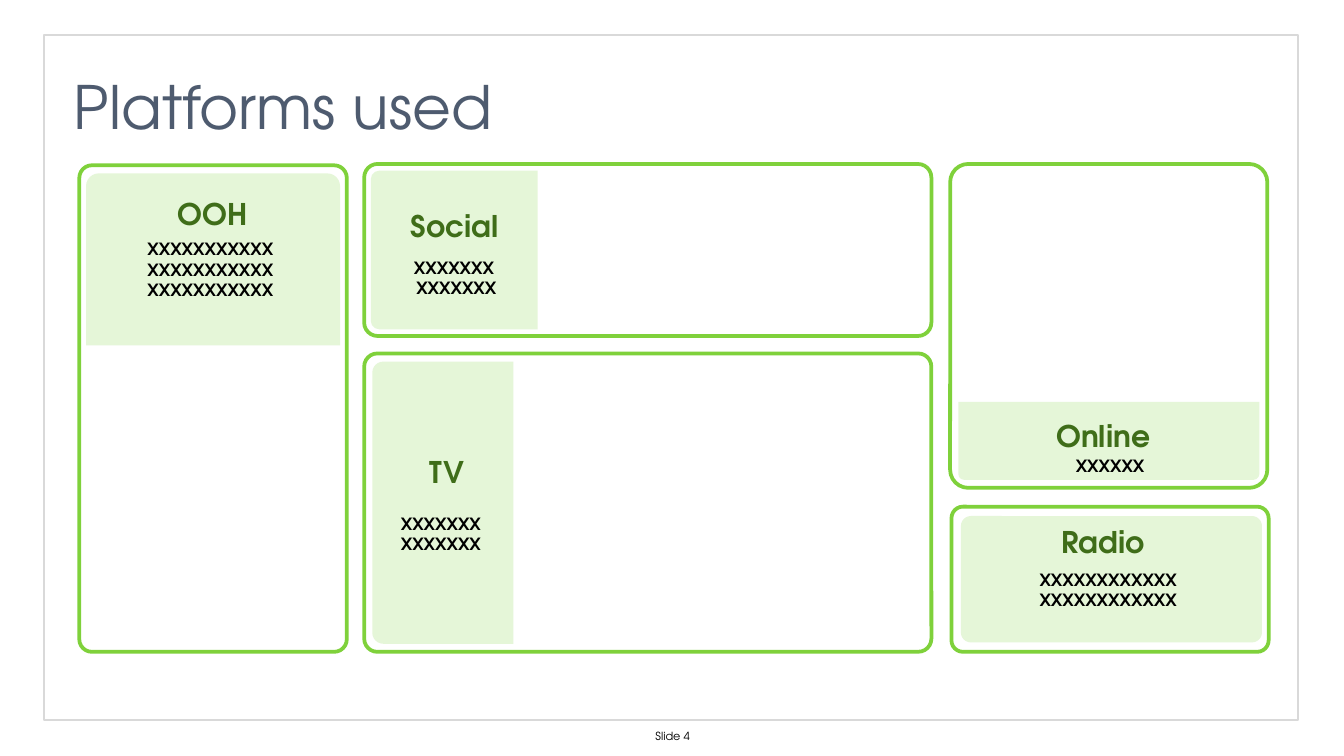
import pptx
import pptx.util
import pptx.dml.color
import pptx.enum.shapes
import pptx.enum.text

Inches = pptx.util.Inches
Pt = pptx.util.Pt
SHAPES = pptx.enum.shapes.MSO_SHAPE
ANCHOR = pptx.enum.text.MSO_ANCHOR
ALIGN = pptx.enum.text.PP_ALIGN

FONT = "TeX Gyre Adventor"
GREEN, PALE, DARK = "7FD13B", "E5F6D8", "3F6D19"
GREY, SLATE, BLACK = "D9D9D9", "4E5B6F", "000000"

# Boxes are left, top, width, height as seen on the slide. A label is rounded
# on one side ("top", "left", "bottom") or on all four ("all").
# In details, \n starts a paragraph and \v breaks a line.
PLATFORMS = [
    dict(name="Social", frame=(2.71, 1.22, 4.22, 1.28), radius=0.078,
         label=(2.76, 1.27, 1.24, 1.18), rounded="left", label_radius=0.052,
         name_box=(2.96, 1.5, 0.86, 0.37),
         details="XXXXXXX \nXXXXXXX", details_box=(2.94, 1.87, 0.91, 0.4)),
    dict(name="TV", frame=(2.71, 2.63, 4.22, 2.22), radius=0.044,
         label=(2.77, 2.69, 1.05, 2.1), rounded="left", label_radius=0.078,
         name_box=(3.1, 3.33, 0.46, 0.37),
         details="XXXXXXX\nXXXXXXX", details_box=(2.67, 3.77, 1.22, 0.4)),
    dict(name="OOH", frame=(0.59, 1.23, 1.99, 3.62), radius=0.047,
         label=(0.64, 1.29, 1.89, 1.28), rounded="top", label_radius=0.074,
         name_box=(1.22, 1.41, 0.73, 0.37),
         details="XXXXXXXXXXX\vXXXXXXXXXXX\vXXXXXXXXXXX",
         details_box=(0.58, 1.73, 1.97, 0.56)),
    dict(name="Radio", frame=(7.08, 3.77, 2.36, 1.08), radius=0.079,
         label=(7.15, 3.84, 2.24, 0.94), rounded="all", label_radius=0.079,
         name_box=(7.8, 3.85, 0.83, 0.37),
         details="XXXXXXXXXXXX\vXXXXXXXXXXXX",
         details_box=(7.14, 4.19, 2.21, 0.4)),
    dict(name="Online", frame=(7.07, 1.22, 2.36, 2.41), radius=0.057,
         label=(7.13, 2.99, 2.24, 0.58), rounded="bottom", label_radius=0.074,
         name_box=(7.76, 3.06, 0.91, 0.37),
         details="XXXXXX", details_box=(7.38, 3.34, 1.76, 0.25)),
]
ROTATIONS = {"all": 0, "top": 0, "bottom": 180, "left": 270}


def color(value):
    return pptx.dml.color.RGBColor.from_string(value)


def add_shape(page, kind, place, fill=None, line=None, width=2):
    shape = page.shapes.add_shape(kind, *map(Inches, place))
    shape.shadow.inherit = False
    if fill:
        shape.fill.solid()
        shape.fill.fore_color.rgb = color(fill)
    else:
        shape.fill.background()
    if line:
        shape.line.color.rgb = color(line)
        shape.line.width = Pt(width)
    else:
        shape.line.fill.background()
    return shape


def add_label(page, place, rounded, radius):
    """Add a pale panel, turned so that its round corners face one side."""
    left, top, width, height = place
    rotation = ROTATIONS[rounded]
    if rotation % 180:
        shift = (width - height) / 2
        place = (left + shift, top - shift, height, width)
    kind = SHAPES.ROUNDED_RECTANGLE if rounded == "all" else SHAPES.ROUND_2_SAME_RECTANGLE
    label = add_shape(page, kind, place, fill=PALE)
    label.rotation = rotation
    label.adjustments[0] = radius


def add_text(page, place, text, size, ink, bold=False, align=ALIGN.CENTER,
             wrap=True, anchor=ANCHOR.TOP, margins=(0.1, 0.05)):
    box = page.shapes.add_textbox(*map(Inches, place))
    frame = box.text_frame
    frame.word_wrap = wrap
    frame.vertical_anchor = anchor
    frame.margin_left = frame.margin_right = Inches(margins[0])
    frame.margin_top = frame.margin_bottom = Inches(margins[1])
    frame.text = text
    for paragraph in frame.paragraphs:
        paragraph.alignment = align
        paragraph.font.name = FONT
        paragraph.font.size = Pt(size)
        paragraph.font.bold = bold
        paragraph.font.color.rgb = color(ink)


def add_platform(page, platform):
    add_label(page, platform["label"], platform["rounded"], platform["label_radius"])
    frame = add_shape(page, SHAPES.ROUNDED_RECTANGLE, platform["frame"], line=GREEN)
    frame.adjustments[0] = platform["radius"]
    add_text(page, platform["name_box"], platform["name"], 16, DARK, bold=True,
             align=ALIGN.LEFT, wrap=False)
    add_text(page, platform["details_box"], platform["details"], 9, BLACK, bold=True)


def main():
    deck = pptx.Presentation()
    deck.slide_width = Inches(10)
    deck.slide_height = Inches(10 * 9 / 16)
    page = deck.slides.add_slide(deck.slide_layouts[6])
    add_shape(page, SHAPES.RECTANGLE, (0.33, 0.26, 9.33, 5.1), line=GREY, width=1)
    add_text(page, (0.55, 0.52, 8.89, 0.52), "Platforms used", 32, SLATE,
             align=ALIGN.LEFT, margins=(0, 0))
    add_text(page, (3.84, 5.39, 2.33, 0.17), "Slide 4", 6, BLACK, anchor=ANCHOR.MIDDLE)
    for platform in PLATFORMS:
        add_platform(page, platform)
    deck.save("out.pptx")


if __name__ == "__main__":
    main()
